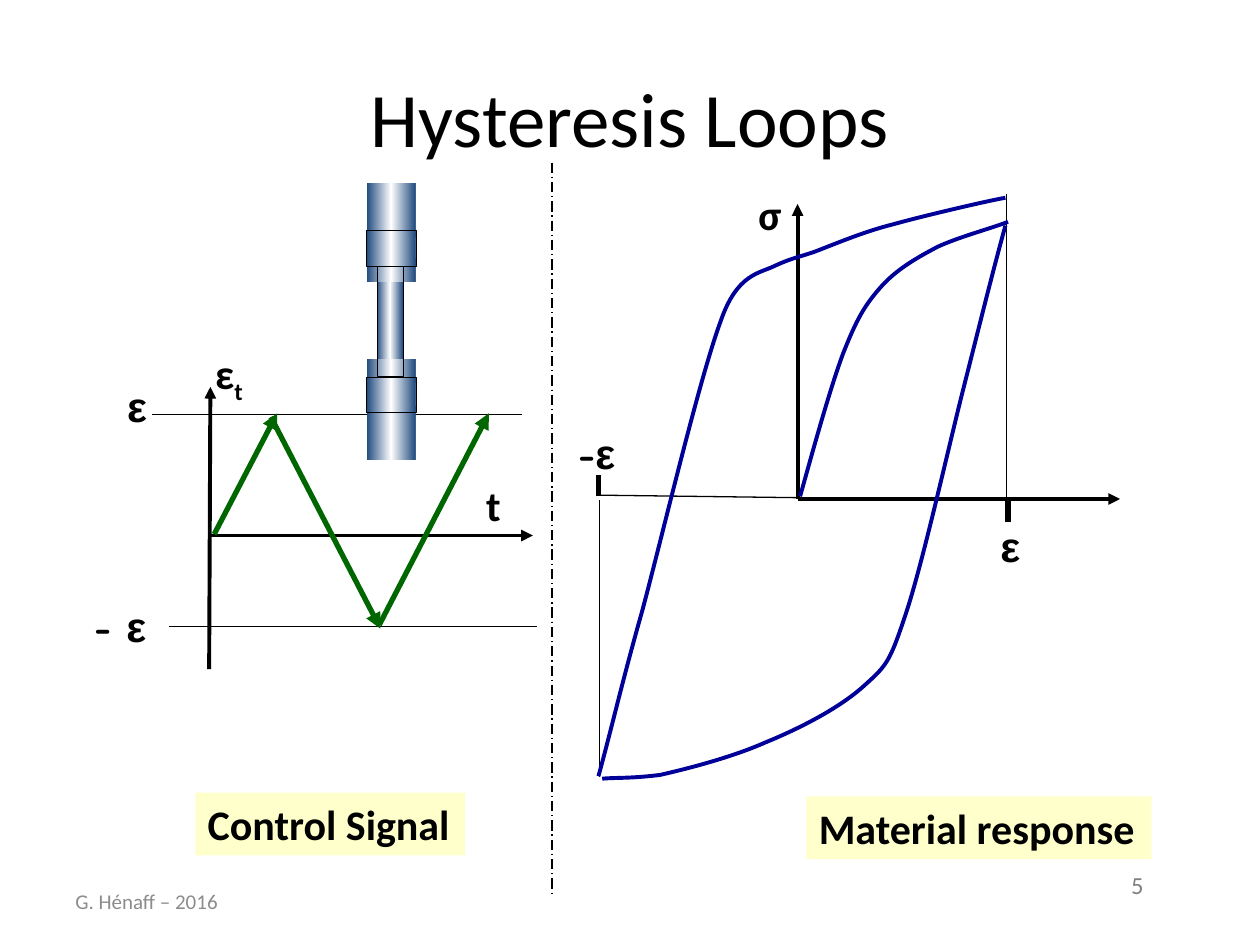
from copy import deepcopy
from pptx import Presentation
from pptx.dml.color import RGBColor
from pptx.enum.dml import MSO_LINE
from pptx.enum.shapes import MSO_CONNECTOR, MSO_SHAPE
from pptx.enum.text import MSO_ANCHOR, MSO_AUTO_SIZE, PP_ALIGN
from pptx.oxml.ns import qn
from pptx.oxml.xmlchemy import OxmlElement
from pptx.util import Inches, Pt

HUES = {"ink": "000000", "loop": "000099", "wave": "006600", "tag": "FFFFCC",
        "steel": "1F497D", "shine": "FFFFFF", "page": "808080", "foot": "8C8C8C"}

# Specimen: grip top and height, then how much narrow gauge lies between grips
LEFT, WIDE, NECK, THIN = 2.91, 0.39, 2.99, 0.21
SPANS = [(1.45, 0.43, 3.22), (1.83, 0.28, 2.99), (2.05, 0.19, 2.85)]
FRAME = (1.83, 0.28, 2.99)

# Lines: start, end, colour, width, arrow
LINES = [
    # control signal axes and limits
    ((1.66, 5.31), (1.67, 3.07), "ink", 2.25, True),
    ((1.67, 4.25), (4.23, 4.25), "ink", 2.25, True),
    ((1.21, 3.29), (4.14, 3.29), "ink", 0.75, False),
    ((1.34, 4.97), (4.26, 4.97), "ink", 0.75, False),
    # response axes, guides and ticks
    ((6.33, 3.96), (6.33, 1.62), "ink", 2.25, True),
    ((6.33, 3.96), (8.89, 3.96), "ink", 2.25, True),
    ((4.76, 3.93), (6.35, 3.95), "ink", 0.75, False),
    ((7.99, 1.54), (7.99, 3.97), "ink", 0.75, False),
    ((4.76, 3.97), (4.76, 6.17), "ink", 0.75, False),
    ((4.75, 3.94), (4.75, 3.77), "ink", 3, False),
    ((8, 4.14), (8, 3.97), "ink", 3, False),
    # strain wave
    ((1.7, 4.24), (2.2, 3.28), "wave", 3, True),
    ((2.15, 3.31), (3.02, 4.99), "wave", 3, True),
    ((3.01, 4.96), (3.88, 3.28), "wave", 3, True),
]

# Loop curves: a start point, then three Bezier points per segment
CURVES = [
    [(4.75, 6.16), (4.86, 5.76), (4.93, 5.44), (5.1, 4.84),
     (5.26, 4.24), (5.55, 3.01), (5.72, 2.55),
     (5.85, 2.17), (6.03, 2.17), (6.15, 2.11),
     (6.28, 2.05), (6.31, 2.05), (6.46, 2),
     (6.62, 1.94), (6.85, 1.84), (7.09, 1.78),
     (7.34, 1.71), (7.9, 1.58), (7.98, 1.57)],
    [(6.35, 3.94), (6.47, 3.51), (6.59, 3.08), (6.69, 2.81),
     (6.8, 2.53), (6.86, 2.43), (6.98, 2.29),
     (7.11, 2.14), (7.27, 2.05), (7.44, 1.96),
     (7.61, 1.88), (7.91, 1.8), (8, 1.76)],
    [(7.98, 1.79), (7.87, 2.19), (7.77, 2.6), (7.64, 3.11),
     (7.51, 3.63), (7.32, 4.48), (7.19, 4.87),
     (7.06, 5.26), (7.04, 5.28), (6.85, 5.45),
     (6.66, 5.62), (6.35, 5.78), (6.08, 5.89),
     (5.81, 6.01), (5.46, 6.1), (5.24, 6.15),
     (5, 6.18), (4.87, 6.17), (4.78, 6.18)],
]

# Symbols: box, runs of (text, font, baseline)
SIGNS = [
    ((1.61, 2.71, 0.42, 0.5), [("ε", "Calibri", 0), ("t", "Calibri", -25000)]),
    ((3.76, 3.76, 0.32, 0.5), [("t", "Calibri", 0)]),
    ((0.91, 2.97, 0.35, 0.5), [("ε", "Arial", 0)]),
    ((0.65, 4.72, 0.7, 0.5), [("- ", "Comic Neue", 0), ("ε", "Arial", 0)]),
    ((4.49, 3.34, 0.55, 0.5), [("-", "Comic Neue", 0), ("ε", "Arial", 0)]),
    ((7.84, 4.08, 0.35, 0.5), [("ε", "Arial", 0)]),
    ((5.92, 1.45, 0.39, 0.5), [("σ", "Calibri", 0)]),
]
TAGS = [((1.55, 6.29, 2.14, 0.5), "Control Signal"),
        ((6.4, 6.32, 2.74, 0.5), "Material response")]

deck = Presentation()
deck.slide_width, deck.slide_height = Inches(10), Inches(7.5)
slide = deck.slides.add_slide(deck.slide_layouts[6])
shapes = slide.shapes


def rgb(name):
    return RGBColor.from_string(HUES[name])


def add_text(box, runs, size=24, hue="ink", bold=True, wrap=False, mid=False):
    area = shapes.add_textbox(*map(Inches, box))
    frame = area.text_frame
    frame.word_wrap = wrap
    frame.auto_size = MSO_AUTO_SIZE.NONE if wrap else MSO_AUTO_SIZE.SHAPE_TO_FIT_TEXT
    if mid:
        frame.vertical_anchor = MSO_ANCHOR.MIDDLE
    for words, face, shift in runs:
        run = frame.paragraphs[0].add_run()
        run.text = words
        font = run.font
        font.name, font.size, font.bold = face, Pt(size), bold
        font.color.rgb = rgb(hue)
        if shift:
            run._r.get_or_add_rPr().set("baseline", str(shift))
    return area


def add_line(start, end, hue, width, arrow=False):
    line = shapes.add_connector(MSO_CONNECTOR.STRAIGHT, *map(Inches, start + end))
    line.line.color.rgb = rgb(hue)
    line.line.width = Pt(width)
    if arrow:
        tip = OxmlElement("a:tailEnd")
        tip.set("type", "triangle")
        line.line._get_or_add_ln().append(tip)
    line._element.spPr.append(OxmlElement("a:effectLst"))
    return line


def add_curve(points):
    pen = shapes.build_freeform(*map(Inches, points[0]), scale=1.0)
    pen.add_line_segments([tuple(map(Inches, p)) for p in points[1:]], close=False)
    curve = pen.convert_to_shape()
    # Join each three straight steps into one Bezier segment
    steps = list(curve._element.iter(qn("a:lnTo")))
    for i in range(0, len(steps), 3):
        bend = OxmlElement("a:cubicBezTo")
        steps[i].addprevious(bend)
        for step in steps[i:i + 3]:
            bend.append(step[0])
            step.getparent().remove(step)
    curve.fill.background()
    curve.line.color.rgb = rgb("loop")
    curve.line.width = Pt(2.25)
    curve.shadow.inherit = False


def add_bar(box, solid):
    bar = shapes.add_shape(MSO_SHAPE.RECTANGLE, *map(Inches, box))
    bar.shadow.inherit = False
    if not solid:
        bar.fill.background()
        bar.line.color.rgb = rgb("ink")
        bar.line.width = Pt(0.25)
        return
    bar.line.fill.background()
    bar.fill.gradient()
    bar.fill.gradient_angle = 0
    stops = bar._element.spPr.find(".//" + qn("a:gsLst"))
    stops.append(deepcopy(stops[0]))
    for stop, hue, spot in zip(bar.fill.gradient_stops,
                               ("steel", "shine", "steel"), (0, 0.5, 1)):
        stop.color.rgb = rgb(hue)
        stop.position = spot


def add_piece(top, high, low, solid=True):
    """Two grips with the narrow gauge between them."""
    add_bar((LEFT, top, WIDE, high), solid)
    add_bar((LEFT, low, WIDE, high), solid)
    add_bar((NECK, top + high, THIN, low - top - high), solid)


# Title, footer and page number
title = add_text((0.5, 0.3, 9, 1.25), [("Hysteresis Loops", "Calibri", 0)],
                 44, bold=False, wrap=True, mid=True)
title.text_frame.paragraphs[0].alignment = PP_ALIGN.CENTER
add_text((0.5, 6.95, 2.33, 0.4), [("G. Hénaff – 2016", "Calibri", 0)],
         12, "foot", False, True, True)
add_text((8.88, 6.86, 0.53, 0.34), [("5", "Calibri", 0)], 14, "page", False)

# Divider, axes and wave
split = add_line((4.38, 1.29), (4.38, 7.09), "ink", 0.75)
split.line.dash_style = MSO_LINE.LONG_DASH_DOT
for item in LINES:
    add_line(*item)

# Loops, specimen and labels
for points in CURVES:
    add_curve(points)
for span in SPANS:
    add_piece(*span)
add_piece(*FRAME, solid=False)
for box, runs in SIGNS:
    add_text(box, runs)
for box, words in TAGS:
    tag = add_text(box, [(words, "Calibri", 0)])
    tag.fill.solid()
    tag.fill.fore_color.rgb = rgb("tag")

deck.save("out.pptx")
